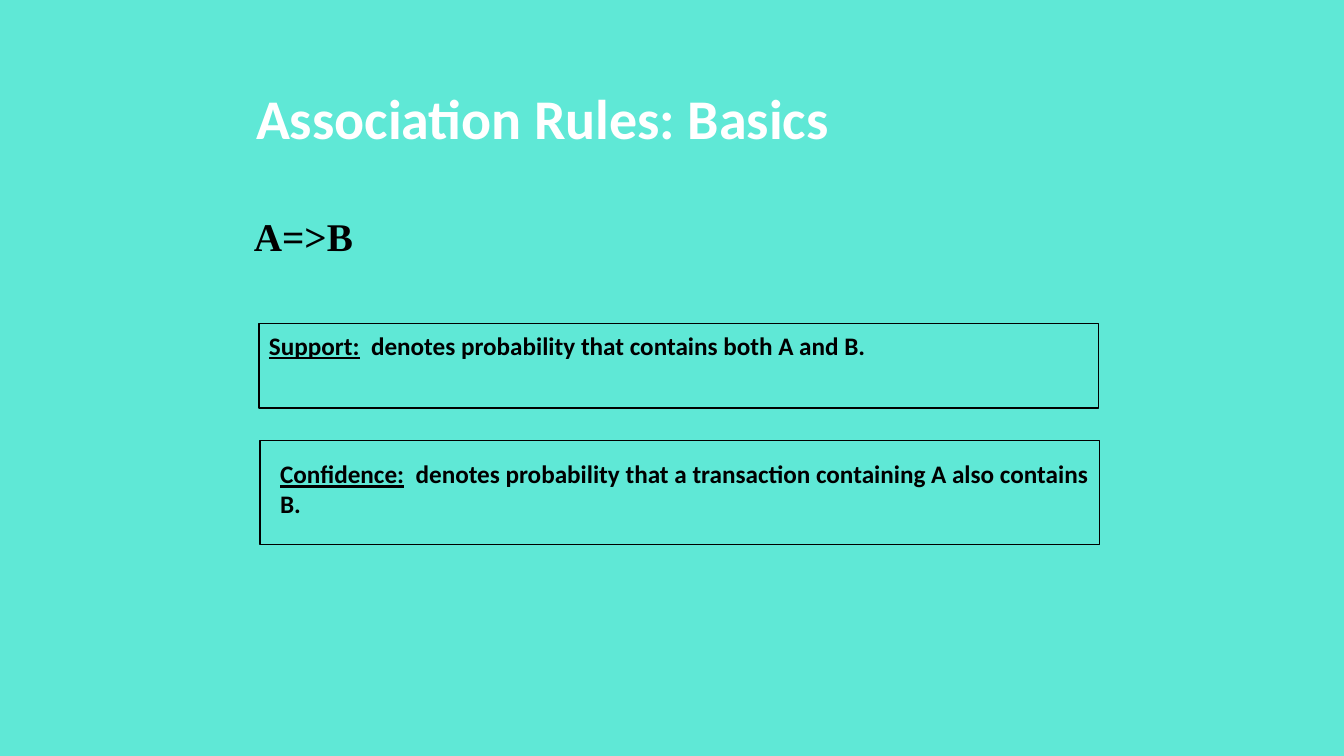
"""Build the slide that introduces support and confidence of association rules."""
from pptx import Presentation
from pptx.dml.color import RGBColor
from pptx.enum.shapes import MSO_SHAPE
from pptx.enum.text import MSO_ANCHOR, PP_ALIGN
from pptx.util import Cm, Pt

COLORS = {"background": "5FE8D6", "title": "FFFFFF", "ink": "000000"}
HEADING = ("Association Rules: Basics", (6.2, 2.18, 21.44, 2.11))
RULE = ("A=>B", (6.15, 5.23, 21.59, 2.79))
DEFINITIONS = [
    {
        "term": "Support:",
        "meaning": "  denotes probability that contains both A and B.",
        "frame": (6.53, 8.15, 21.16, 2.13),
        "text": (6.53, 8.2, 16.94, 1.02),
    },
    {
        "term": "Confidence:",
        "meaning": "  denotes probability that a transaction containing A also contains B.",
        "frame": (6.55, 11.1, 21.16, 2.62),
        "text": (6.81, 11.43, 20.9, 1.8),
    },
]
HEADING_FONT = {"name": "Calibri", "size": Pt(40), "bold": True}
RULE_FONT = {"name": "Times New Roman", "size": Pt(28), "bold": True}
TERM_FONT = {"name": "Calibri", "size": Pt(18), "bold": True, "underline": True}
MEANING_FONT = {**TERM_FONT, "underline": False}


def rgb(name):
    return RGBColor.from_string(COLORS[name])


def add_run(paragraph, text, font_format, color="ink"):
    run = paragraph.add_run()
    run.text = text
    for attribute, value in font_format.items():
        setattr(run.font, attribute, value)
    run.font.color.rgb = rgb(color)


def add_text(slide, box, runs):
    frame = slide.shapes.add_textbox(*map(Cm, box)).text_frame
    frame.word_wrap = True
    for text, font_format in runs:
        add_run(frame.paragraphs[0], text, font_format)


def add_heading(slide):
    text, box = HEADING
    heading = slide.shapes.title
    heading.left, heading.top, heading.width, heading.height = map(Cm, box)
    heading.text_frame.vertical_anchor = MSO_ANCHOR.TOP
    line = heading.text_frame.paragraphs[0]
    line.alignment = PP_ALIGN.LEFT
    line.line_spacing = 0.9
    add_run(line, text, HEADING_FONT, "title")


def add_frame(slide, box):
    frame = slide.shapes.add_shape(MSO_SHAPE.RECTANGLE, *map(Cm, box))
    frame.shadow.inherit = False
    frame.fill.background()
    frame.line.color.rgb = rgb("ink")
    frame.line.width = Pt(1)


def main():
    deck = Presentation()
    deck.slide_width, deck.slide_height = Cm(33.87), Cm(19.05)
    slide = deck.slides.add_slide(deck.slide_layouts[5])
    slide.background.fill.solid()
    slide.background.fill.fore_color.rgb = rgb("background")

    add_heading(slide)
    rule, rule_box = RULE
    add_text(slide, rule_box, [(rule, RULE_FONT)])
    for definition in DEFINITIONS:
        add_frame(slide, definition["frame"])
        add_text(slide, definition["text"], [
            (definition["term"], TERM_FONT),
            (definition["meaning"], MEANING_FONT),
        ])
    deck.save("out.pptx")


if __name__ == "__main__":
    main()
